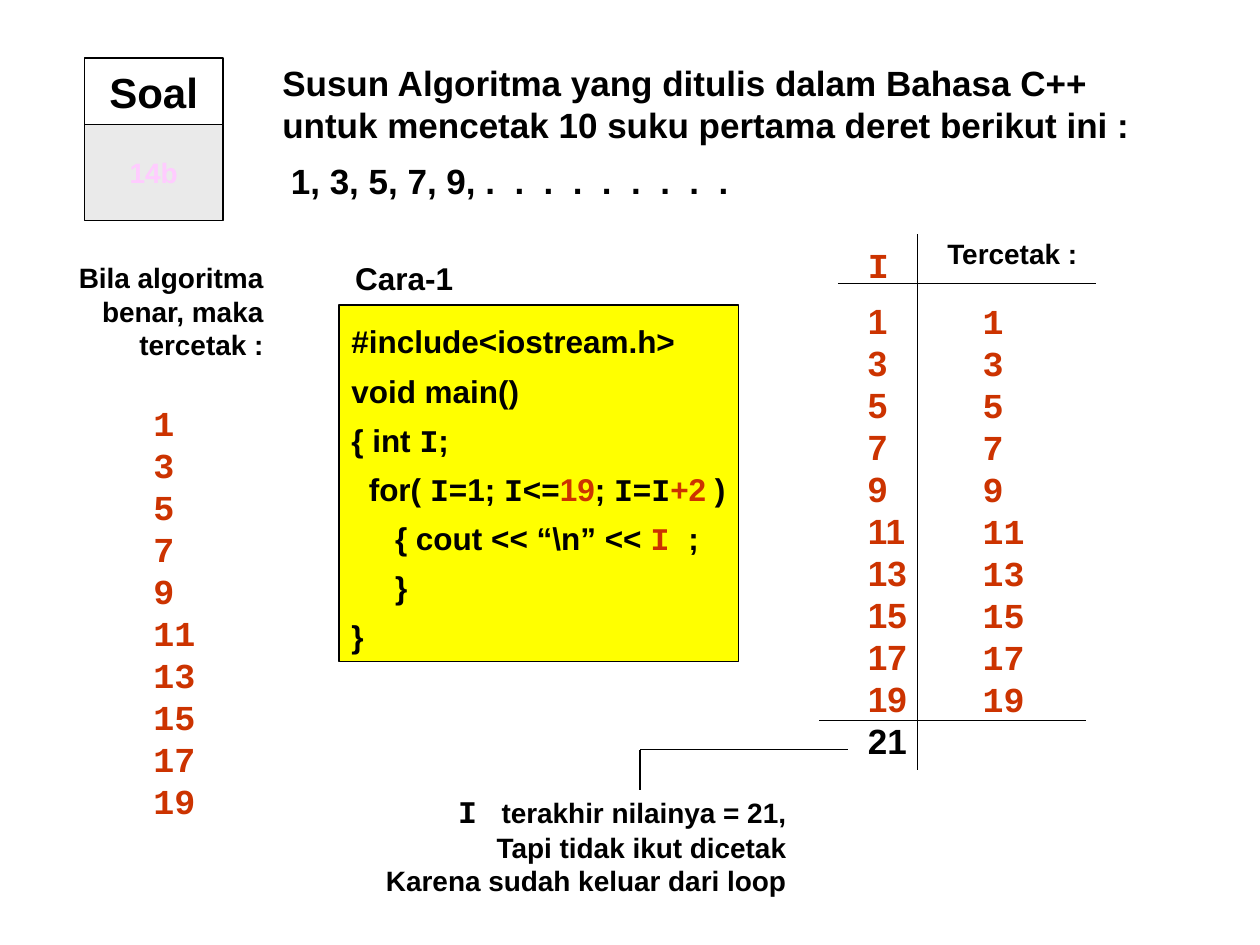
from lxml import etree
from pptx import Presentation
from pptx import util as u
from pptx.dml.color import RGBColor
from pptx.enum import shapes, text
from pptx.oxml.ns import qn

BLACK = RGBColor(0x00, 0x00, 0x00)
WHITE = RGBColor(0xFF, 0xFF, 0xFF)
RED = RGBColor(0xCC, 0x33, 0x00)
YELLOW = RGBColor(0xFF, 0xFF, 0x00)
GREY = RGBColor(0xEA, 0xEA, 0xEA)
PINK = RGBColor(0xFF, 0xCC, 0xFF)
SANS, MONO = "Arial", "Courier New"
LEFT, CENTER, RIGHT = text.PP_ALIGN.LEFT, text.PP_ALIGN.CENTER, text.PP_ALIGN.RIGHT


class SlideBuilder:
    def __init__(self, slide):
        self.slide = slide

    def fill_text(self, tf, lines, size, font=SANS, color=BLACK, align=LEFT,
                  spacing=None, wrap=False, anchor=text.MSO_ANCHOR.TOP):
        """Fill a frame; a line is a string or a list of strings and
        (string, font attributes) pairs that differ from the line's style."""
        tf.auto_size = text.MSO_AUTO_SIZE.NONE
        tf.word_wrap = wrap
        tf.vertical_anchor = anchor
        for i, line in enumerate(lines):
            p = tf.add_paragraph() if i else tf.paragraphs[0]
            p.alignment = align
            if spacing:
                p.line_spacing = spacing
            f = p.font
            f.name, f.size, f.bold = font, u.Pt(size), True
            f.color.rgb = color
            for part in [line] if isinstance(line, str) else line:
                words, style = (part, {}) if isinstance(part, str) else part
                r = p.add_run()
                r.text = words
                if "font" in style:
                    r.font.name = style["font"]
                if "size" in style:
                    r.font.size = u.Pt(style["size"])
                if "color" in style:
                    r.font.color.rgb = style["color"]

    def title(self, x, y, w, h, words, size):
        sp = self.slide.shapes.title
        sp.left, sp.top, sp.width, sp.height = map(u.Inches, (x, y, w, h))
        self.fill_text(sp.text_frame, [words], size, wrap=True)

    def label(self, x, y, w, h, lines, size, **style):
        sp = self.slide.shapes.add_textbox(*map(u.Inches, (x, y, w, h)))
        self.fill_text(sp.text_frame, lines, size, **style)

    def box(self, x, y, w, h, fill, lines, size, parent=None, **style):
        sp = (parent or self.slide).shapes.add_shape(
            shapes.MSO_SHAPE.RECTANGLE, *map(u.Inches, (x, y, w, h)))
        sp.shadow.inherit = False
        sp.fill.solid()
        sp.fill.fore_color.rgb = fill
        sp.line.color.rgb = BLACK
        sp.line.width = u.Pt(0.75)
        self.fill_text(sp.text_frame, lines, size, **style)

    def line(self, x1, y1, x2, y2):
        c = self.slide.shapes.add_connector(
            shapes.MSO_CONNECTOR.STRAIGHT, *map(u.Inches, (x1, y1, x2, y2)))
        c.line.color.rgb = BLACK
        c.line.width = u.Pt(0.75)
        etree.SubElement(c._element.spPr, qn("a:effectLst"))


def main():
    prs = Presentation()
    prs.slide_width, prs.slide_height = u.Inches(10), u.Inches(7.5)
    s = SlideBuilder(prs.slides.add_slide(prs.slide_layouts[5]))

    s.title(2.14, 0.44, 7.11, 0.77,
            "Susun Algoritma yang ditulis dalam Bahasa C++ "
            "untuk mencetak 10 suku pertama deret berikut ini :", 20)
    s.label(2.21, 1.22, 3.68, 0.44,
            ["1, 3, 5, 7, 9, .  .  .  .  .  .  .  .  ."], 20)

    badge = s.slide.shapes.add_group_shape()
    middle = {"align": CENTER, "anchor": text.MSO_ANCHOR.MIDDLE, "parent": badge}
    s.box(0.67, 0.46, 1.1, 0.53, WHITE, ["Soal"], 24, **middle)
    s.box(0.67, 0.99, 1.1, 0.76, GREY, ["14b"], 16, color=PINK, **middle)

    # Program listing
    var = ("I", {"font": MONO})
    red = {"color": RED}
    code = [
        "#include<iostream.h>",
        "void main()",
        ["{ int ", var, ";"],
        ["  for( ", var, "=1; ", var, "<=", ("19", red), "; ",
         var, "=", var, ("+2", red), " )"],
        ["     { cout << “\\n” << ", ("I ", {"font": MONO, "color": RED}), ";"],
        "     }",
        "}",
    ]
    s.label(2.72, 2.01, 0.98, 0.4, ["Cara-1"], 18)
    s.box(2.69, 2.42, 3.17, 2.83, YELLOW, code, 18, spacing=1.3)

    # Expected output
    terms = [str(n) for n in range(1, 20, 2)]
    s.label(0.12, 2.02, 2.07, 0.9, ["Bila algoritma benar, maka tercetak :"],
            16, align=RIGHT, wrap=True)
    s.label(1.12, 3.14, 0.53, 3.44, terms, 20, font=MONO, color=RED)

    # Trace of I against what is printed
    s.line(6.65, 2.25, 8.7, 2.25)
    s.line(7.28, 1.86, 7.28, 6.11)
    s.line(6.5, 5.72, 8.62, 5.72)
    s.label(6.79, 1.88, 0.36, 0.44, ["I"], 20, font=MONO, color=RED)
    s.label(7.42, 1.83, 1.24, 0.37, ["Tercetak :"], 16)
    s.label(6.79, 2.33, 0.51, 3.77, terms + [[("21", {"color": BLACK})]],
            20, color=RED)
    s.label(7.7, 2.33, 0.53, 3.44, terms, 20, font=MONO, color=RED)

    # Note on the last value
    s.line(5.08, 5.95, 6.73, 5.95)
    s.line(5.08, 5.95, 5.08, 6.27)
    s.label(2.96, 6.24, 3.38, 0.94, [
        [("I", {"font": MONO, "size": 18}), (" ", {"font": MONO}),
         " terakhir nilainya = 21,"],
        "Tapi tidak ikut dicetak",
        "Karena sudah keluar dari loop",
    ], 16, align=RIGHT)

    prs.save("out.pptx")


if __name__ == "__main__":
    main()
